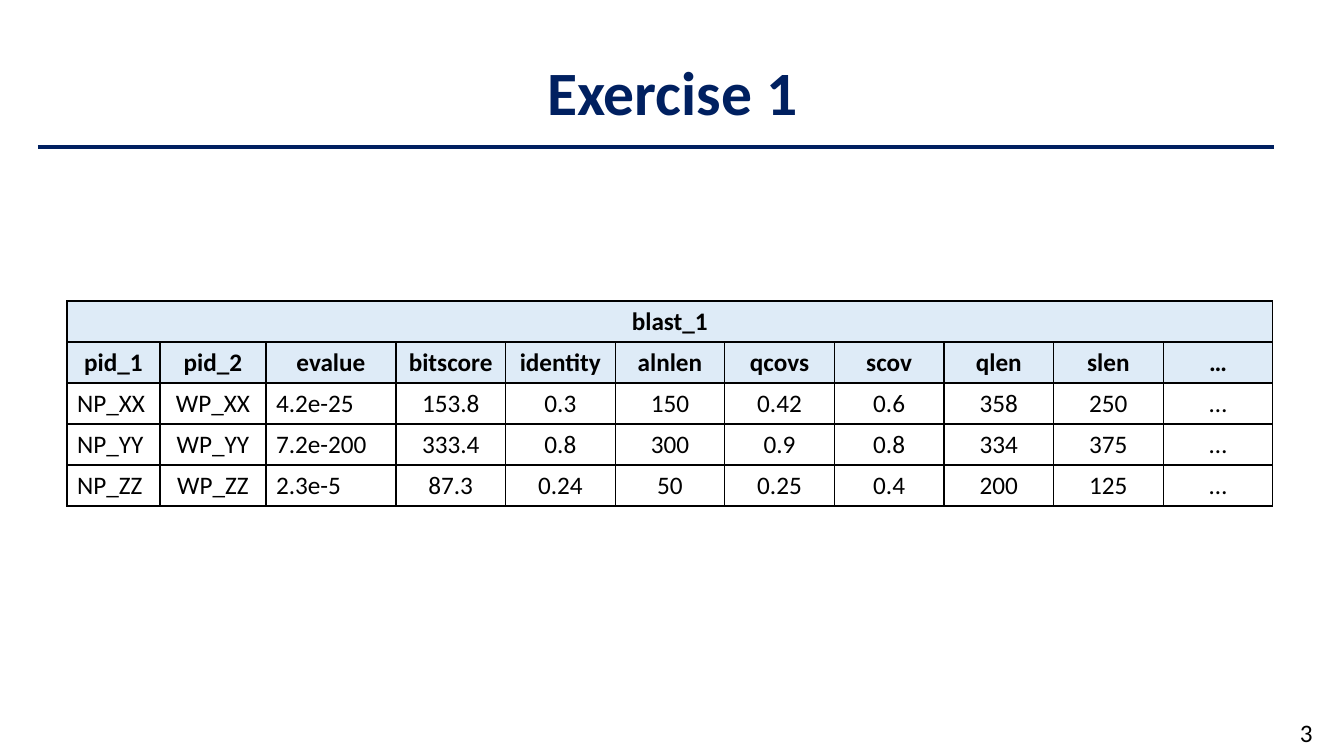
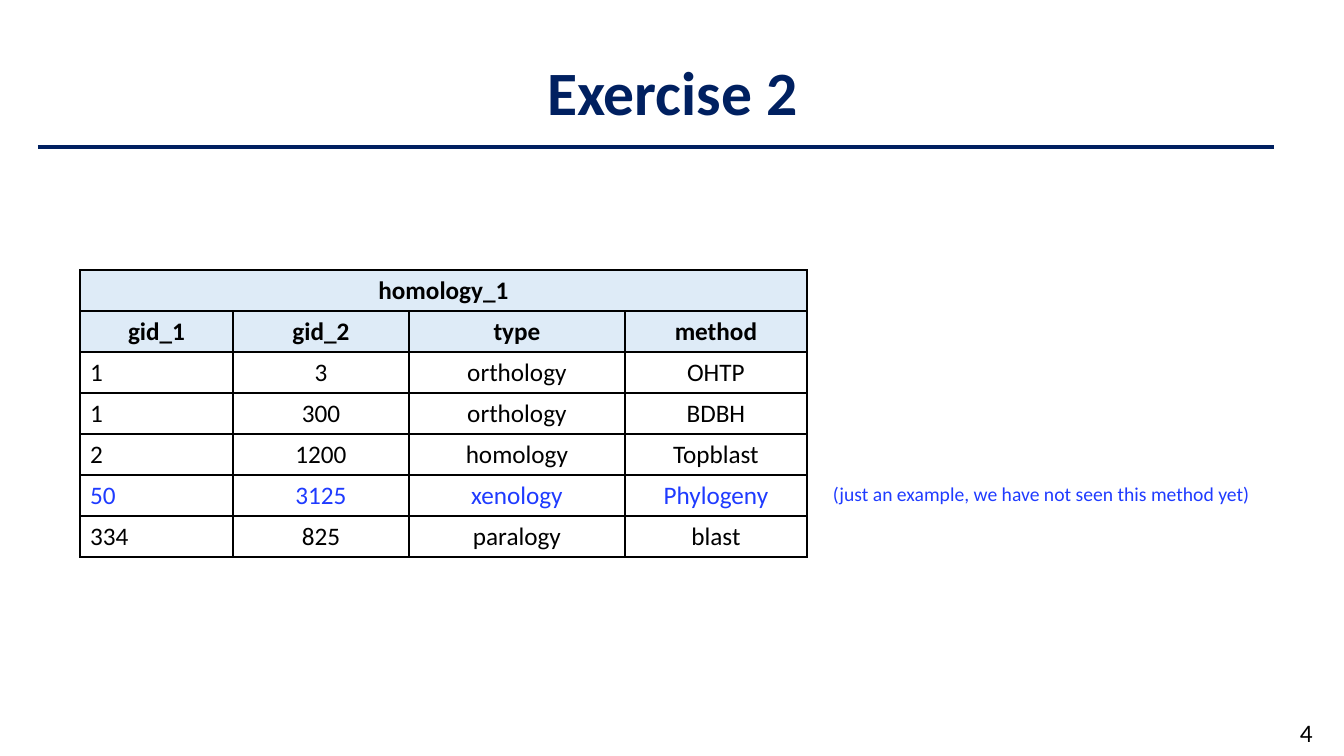
from pptx import Presentation
from pptx.dml.color import RGBColor
from pptx.enum.shapes import MSO_CONNECTOR as Link
from pptx.enum.text import MSO_ANCHOR as Anchor, MSO_AUTO_SIZE as Fit, PP_ALIGN as Align
from pptx.oxml import parse_xml
from pptx.oxml.ns import nsdecls
from pptx.util import Pt

# Content: column widths and table width are in pixels; equal columns share the rest
BLAST = {
    "title": "Exercise 1", "number": "3",
    "name": "blast_1", "at": (67, 301), "width": 1206, "cols": [93, 106, 130],
    "left": (0, 2), "marked": None, "note": None,
    "head": ["pid_1", "pid_2", "evalue", "bitscore", "identity", "alnlen",
             "qcovs", "scov", "qlen", "slen", "…"],
    "rows": [
        ["NP_XX", "WP_XX", "4.2e-25", "153.8", "0.3", "150", "0.42", "0.6", "358", "250", "…"],
        ["NP_YY", "WP_YY", "7.2e-200", "333.4", "0.8", "300", "0.9", "0.8", "334", "375", "…"],
        ["NP_ZZ", "WP_ZZ", "2.3e-5", "87.3", "0.24", "50", "0.25", "0.4", "200", "125", "…"],
    ],
}
HOMOLOGY = {
    "title": "Exercise 2", "number": "4",
    "name": "homology_1", "at": (80, 270), "width": 727, "cols": [153, 176, 216, 182],
    "left": (0,), "marked": 3,
    "note": "(just an example, we have not seen this method yet)",
    "head": ["gid_1", "gid_2", "type", "method"],
    "rows": [
        ["1", "3", "orthology", "OHTP"],
        ["1", "300", "orthology", "BDBH"],
        ["2", "1200", "homology", "Topblast"],
        ["50", "3125", "xenology", "Phylogeny"],
        ["334", "825", "paralogy", "blast"],
    ],
}

# Shared style
NAVY, BLACK, BLUE, PALE = "002060", "000000", "1F3BFF", "DEEBF7"
FONT = "Calibri"
ROW = 41
SCALE = 914400 / 100.8


def px(n):
    return round(n * SCALE)


def color(code):
    return RGBColor.from_string(code)


def write(frame, text, size=18, ink=BLACK, bold=False, align=Align.LEFT, lead=None):
    para = frame.paragraphs[0]
    para.alignment = align
    para.line_spacing = lead
    run = para.add_run()
    run.text = text
    font = run.font
    font.name, font.size, font.bold = FONT, Pt(size), bold
    font.color.rgb = color(ink)


def label(slide, text, x, y, w, h, **style):
    frame = slide.shapes.add_textbox(px(x), px(y), px(w), px(h)).text_frame
    frame.word_wrap = False
    frame.auto_size = Fit.SHAPE_TO_FIT_TEXT
    write(frame, text, **style)


def border(cell):
    props = cell._tc.get_or_add_tcPr()
    for i, side in enumerate(("lnL", "lnR", "lnT", "lnB")):
        props.insert(i, parse_xml(
            f'<a:{side} {nsdecls("a")} w="{Pt(1)}"><a:solidFill>'
            f'<a:srgbClr val="{BLACK}"/></a:solidFill></a:{side}>'))


def frame_slide(deck, title, number):
    slide = deck.slides.add_slide(deck.slide_layouts[5])
    # Title
    head = slide.shapes.title
    head.left, head.top, head.width, head.height = map(px, (93, 23, 1159, 146))
    head.text_frame.vertical_anchor = Anchor.MIDDLE
    write(head.text_frame, title, size=44, ink=NAVY, bold=True,
          align=Align.CENTER, lead=0.9)
    # Rule under the title
    rule = slide.shapes.add_connector(Link.STRAIGHT, px(38), px(147), px(1274), px(147))
    rule.line.color.rgb = color(NAVY)
    rule.line.width = Pt(3)
    rule._element.spPr.append(parse_xml(f'<a:effectLst {nsdecls("a")}/>'))
    # Slide number
    label(slide, number, 1290, 712, 33, 40)
    return slide


def add_grid(slide, data):
    x, y = data["at"]
    count = len(data["head"])
    title = [data["name"]] + [""] * (count - 1)
    lines = [title, data["head"], *data["rows"]]
    table = slide.shapes.add_table(len(lines), count, px(x), px(y),
                                   px(data["width"]), px(ROW * len(lines))).table
    table.first_row = table.horz_banding = False

    # Column widths
    cols = data["cols"]
    spare = count - len(cols)
    if spare:
        cols = cols + [(data["width"] - sum(cols)) / spare] * spare
    for col, wide in zip(table.columns, cols):
        col.width = px(wide)

    # Cells
    table.cell(0, 0).merge(table.cell(0, count - 1))
    for r, line in enumerate(lines):
        table.rows[r].height = px(ROW)
        top = r < 2
        ink = BLUE if r - 2 == data["marked"] else BLACK
        for c, text in enumerate(line):
            cell = table.cell(r, c)
            if top:
                cell.fill.solid()
                cell.fill.fore_color.rgb = color(PALE)
            else:
                cell.fill.background()
            border(cell)
            if text:
                side = Align.LEFT if c in data["left"] and not top else Align.CENTER
                write(cell.text_frame, text, ink=ink, bold=top, align=side)


deck = Presentation()
deck.slide_width, deck.slide_height = px(1344), px(756)
for data in (BLAST, HOMOLOGY):
    slide = frame_slide(deck, data["title"], data["number"])
    add_grid(slide, data)
    if data["note"]:
        label(slide, data["note"], 823, 477, 442, 34, size=14, ink=BLUE)
deck.save("out.pptx")
